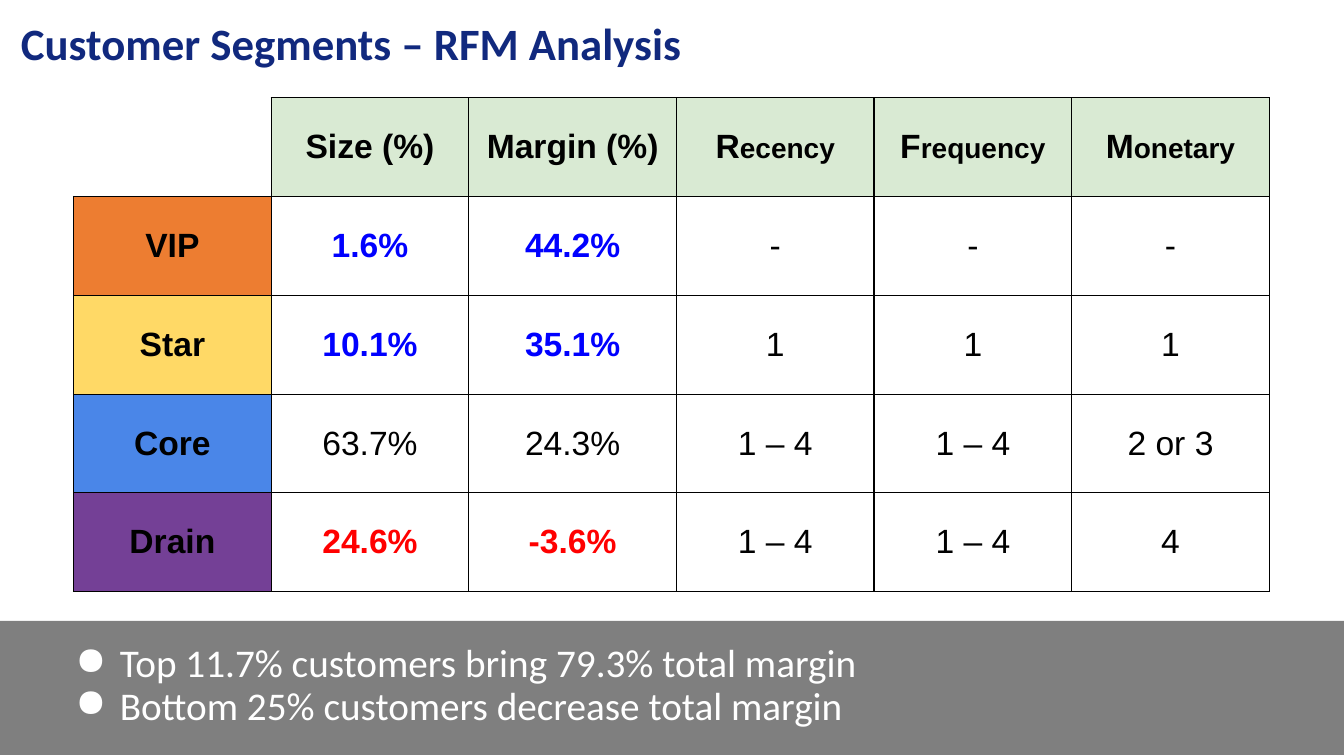
from lxml.etree import SubElement
from pptx import Presentation
from pptx.dml.color import RGBColor
from pptx.enum.shapes import MSO_SHAPE
from pptx.enum.text import MSO_ANCHOR, PP_ALIGN
from pptx.oxml.ns import qn
from pptx.util import Inches, Pt


def color(hex_string):
    """Turn a hex string into a colour."""
    return RGBColor.from_string(hex_string)


def write(paragraph, text, size=24, font="Arial", fill="000000", bold=False, align=None):
    """Add one formatted run of text to a paragraph."""
    run = paragraph.add_run()
    run.text = text
    run.font.size = Pt(size)
    run.font.name = font
    run.font.bold = bold
    run.font.color.rgb = color(fill)
    paragraph.alignment = align


presentation = Presentation()
presentation.slide_width = Inches(13.33)
presentation.slide_height = Inches(7.5)
slide = presentation.slides.add_slide(presentation.slide_layouts[6])

# Title
title = slide.shapes.add_textbox(Inches(0.11), Inches(0.11), Inches(7.01), Inches(0.74))
title.text_frame.word_wrap = True
write(title.text_frame.paragraphs[0], "Customer Segments – RFM Analysis",
      size=32, font="Calibri", fill="11297E", bold=True)

# Segment table
BLACK, BLUE, RED = "000000", "0000FF", "FF0000"
HEADER_FILL = "D9EAD3"
headers = ["", "Size (%)", "Margin (%)", "Recency", "Frequency", "Monetary"]
segments = [
    ("ED7D31", BLUE, ["VIP", "1.6%", "44.2%", "-", "-", "-"]),
    ("FFD966", BLUE, ["Star", "10.1%", "35.1%", "1", "1", "1"]),
    ("4A86E8", BLACK, ["Core", "63.7%", "24.3%", "1 – 4", "1 – 4", "2 or 3"]),
    ("744096", RED, ["Drain", "24.6%", "-3.6%", "1 – 4", "1 – 4", "4"]),
]
rows = [(None, BLACK, headers)] + segments
column_width, margin_width, row_height = 1.96, 2.06, 0.98

table = slide.shapes.add_table(
    len(rows), len(headers), Inches(0.73), Inches(0.97),
    Inches(5 * column_width + margin_width), Inches(len(rows) * row_height)).table
table.first_row = table.horz_banding = False
for column_index, column in enumerate(table.columns):
    column.width = Inches(margin_width if column_index == 2 else column_width)

for row_index, (label_fill, share_color, texts) in enumerate(rows):
    table.rows[row_index].height = Inches(row_height)
    for column_index, text in enumerate(texts):
        cell = table.cell(row_index, column_index)
        cell.vertical_anchor = MSO_ANCHOR.MIDDLE
        is_header, is_label = row_index == 0, column_index == 0
        is_corner = is_header and is_label

        properties = cell._tc.get_or_add_tcPr()
        for side in ("lnL", "lnR", "lnT", "lnB"):
            border = SubElement(properties, qn(f"a:{side}"), w=str(Pt(1)))
            if is_corner and side in ("lnL", "lnT"):
                SubElement(border, qn("a:noFill"))
            else:
                SubElement(SubElement(border, qn("a:solidFill")), qn("a:srgbClr"), val=BLACK)

        cell_fill = HEADER_FILL if is_header else label_fill
        if is_corner or not (is_header or is_label):
            cell.fill.background()
        else:
            cell.fill.solid()
            cell.fill.fore_color.rgb = color(cell_fill)
        if is_corner:
            continue

        paragraph = cell.text_frame.paragraphs[0]
        is_share = column_index in (1, 2)
        text_color = share_color if is_share else BLACK
        bold = is_header or is_label or text_color != BLACK
        # The initials R, F and M stand out from the rest of their headings
        split = 1 if is_header and not is_share else len(text)
        for part, size in ((text[:split], 24), (text[split:], 20)):
            if part:
                write(paragraph, part, size=size, fill=text_color, bold=bold,
                      align=PP_ALIGN.CENTER)

# Takeaway band
band = slide.shapes.add_shape(MSO_SHAPE.RECTANGLE, 0, Inches(6.16),
                              presentation.slide_width, Inches(1.33))
band.shadow.inherit = False
band.line.fill.background()
band.fill.solid()
band.fill.fore_color.rgb = color(BLACK)
band_color = band._element.spPr.find(qn("a:solidFill")).find(qn("a:srgbClr"))
SubElement(band_color, qn("a:alpha"), val="50000")

takeaways = slide.shapes.add_textbox(Inches(0.59), Inches(6.34), Inches(10.56), Inches(0.98))
frame = takeaways.text_frame
frame.word_wrap = True
for index, text in enumerate(["Top 11.7% customers bring 79.3% total margin",
                              "Bottom 25% customers decrease total margin"]):
    paragraph = frame.add_paragraph() if index else frame.paragraphs[0]
    write(paragraph, text, size=28, font="Calibri", fill="FFFFFF")
    paragraph.line_spacing = 0.9
    properties = paragraph._p.get_or_add_pPr()
    properties.set("marL", str(Inches(0.5)))
    properties.set("indent", str(Inches(-0.44)))
    SubElement(SubElement(properties, qn("a:buClr")), qn("a:srgbClr"), val="FFFFFF")
    SubElement(properties, qn("a:buChar"), char="●")

presentation.save("out.pptx")
